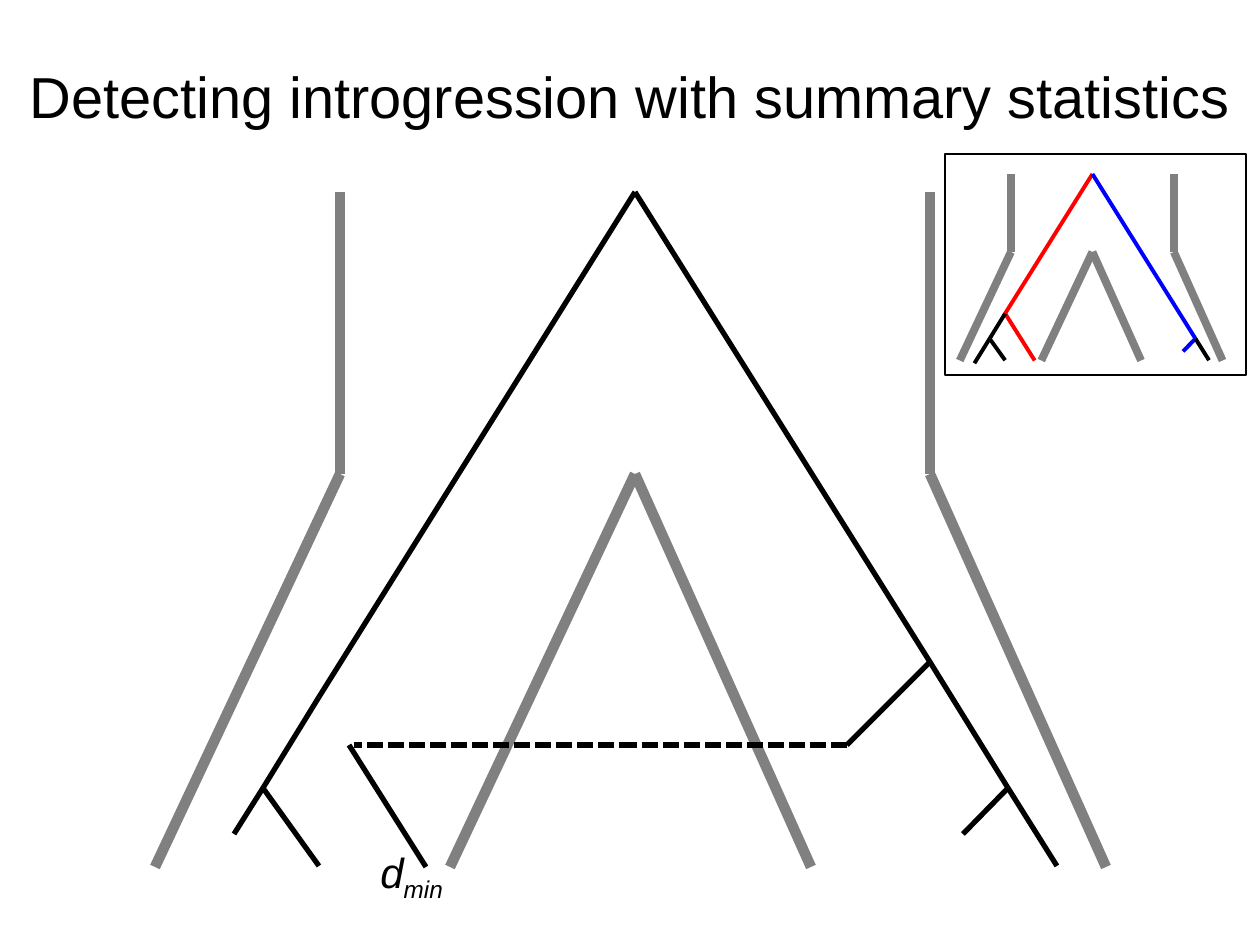
"""Build a slide showing gene trees inside a species tree, with an inset."""
import lxml.etree
import pptx
import pptx.dml.color
import pptx.enum.dml
import pptx.enum.shapes
import pptx.enum.text
import pptx.oxml.ns
import pptx.util

TITLE = "Detecting introgression with summary statistics"
LABEL = [("d", None), ("min", "-25000")]

THEME = {
    "font": "Arial", "title": 33, "label": 24,
    "species": "808080", "black": "000000", "red": "FF0000", "blue": "0000FF",
}
PX = pptx.util.Inches(1) / 126
SLIDE = (1260, 945)
TITLE_BOX = (0, 16, 1260, 158)
LABEL_BOX = (368, 840, 210, 63)
FRAME_BOX = (945, 154, 301, 221)

NODES = {
    "apex": (635, 192), "fork": (635, 474),
    "inner left": (450, 867), "inner right": (811, 867),
    "left top": (340, 192), "left bend": (340, 474), "left foot": (155, 867),
    "right top": (930, 192), "right bend": (930, 474), "right foot": (1106, 867),
    "left join": (319, 697), "left split": (263, 788),
    "left tip": (319, 866), "left end": (234, 834), "left long end": (208, 877),
    "moved top": (349, 745), "moved tip": (426, 867),
    "right join": (930, 662), "right split": (1008, 788),
    "right tip": (1057, 866), "right end": (963, 834),
    "dash left": (354, 745), "dash middle": (635, 745), "dash right": (847, 745),
}
SPECIES = [
    ("fork", "inner left"), ("fork", "inner right"),
    ("left bend", "left foot"), ("right bend", "right foot"),
    ("left top", "left bend"), ("right top", "right bend"),
]
GENES = [
    ("apex", "left join"), ("left join", "left split"),
    ("left split", "left tip"), ("left split", "left end"),
    ("moved top", "moved tip"),
    ("apex", "right join"), ("right join", "right split"),
    ("right split", "right end"), ("right split", "right tip"),
    ("right join", "dash right"),
]
DASHES = [("dash right", "dash middle"), ("dash middle", "dash left")]
INSET_GENES = {
    "red": [("apex", "left join"), ("left join", "moved tip")],
    "blue": [("apex", "right split"), ("right split", "right end")],
    "black": [("left join", "left split"), ("left split", "left tip"),
              ("left split", "left long end"), ("right split", "right tip")],
}
MAIN_VIEW = (1, 0, 0)
INSET_VIEW = (163 / 590, 917, 121)


def emu(*lengths):
    return [round(length * PX) for length in lengths]


def color(name):
    return pptx.dml.color.RGBColor.from_string(THEME[name])


def apply(target, **values):
    for name, value in values.items():
        setattr(target, name, value)


def format_font(font, size, **extra):
    apply(font, name=THEME["font"], size=pptx.util.Pt(THEME[size]), **extra)
    font.color.rgb = color("black")


def draw_branches(shapes, branches, view, paint, width, dash=None):
    scale, left, top = view
    for branch in branches:
        ends = [place for node in branch for place in
                emu(left + NODES[node][0] * scale, top + NODES[node][1] * scale)]
        line = shapes.add_connector(pptx.enum.shapes.MSO_CONNECTOR.STRAIGHT, *ends)
        line.line.color.rgb = color(paint)
        apply(line.line, width=pptx.util.Pt(width), dash_style=dash)
        lxml.etree.SubElement(line._element.spPr, pptx.oxml.ns.qn("a:effectLst"))


def add_title(page):
    box = page.shapes.title
    apply(box, **dict(zip(("left", "top", "width", "height"), emu(*TITLE_BOX))))
    frame = box.text_frame
    frame.text = TITLE
    apply(frame, word_wrap=True, auto_size=pptx.enum.text.MSO_AUTO_SIZE.NONE,
          vertical_anchor=pptx.enum.text.MSO_ANCHOR.MIDDLE)
    para = frame.paragraphs[0]
    para.alignment = pptx.enum.text.PP_ALIGN.CENTER
    format_font(para.runs[0].font, "title")


def add_label(page):
    frame = page.shapes.add_textbox(*emu(*LABEL_BOX)).text_frame
    apply(frame, word_wrap=True,
          auto_size=pptx.enum.text.MSO_AUTO_SIZE.SHAPE_TO_FIT_TEXT)
    for text, baseline in LABEL:
        span = frame.paragraphs[0].add_run()
        span.text = text
        format_font(span.font, "label", italic=True)
        if baseline:
            span._r.get_or_add_rPr().set("baseline", baseline)


def add_inset(page):
    group = page.shapes.add_group_shape()
    draw_branches(group.shapes, SPECIES, INSET_VIEW, "species", 4.5)
    for paint, branches in INSET_GENES.items():
        draw_branches(group.shapes, branches, INSET_VIEW, paint, 2.25)
    frame = page.shapes.add_shape(
        pptx.enum.shapes.MSO_SHAPE.RECTANGLE, *emu(*FRAME_BOX))
    frame.shadow.inherit = False
    frame.fill.background()
    frame.line.color.rgb = color("black")
    frame.line.width = pptx.util.Pt(0.75)


def main():
    deck = pptx.Presentation()
    deck.slide_width, deck.slide_height = emu(*SLIDE)
    page = deck.slides.add_slide(deck.slide_layouts.get_by_name("Title Only"))
    add_title(page)
    draw_branches(page.shapes, SPECIES, MAIN_VIEW, "species", 6)
    draw_branches(page.shapes, GENES, MAIN_VIEW, "black", 3)
    draw_branches(page.shapes, DASHES, MAIN_VIEW, "black", 3,
                  pptx.enum.dml.MSO_LINE.SQUARE_DOT)
    add_inset(page)
    add_label(page)
    deck.save("out.pptx")


if __name__ == "__main__":
    main()
